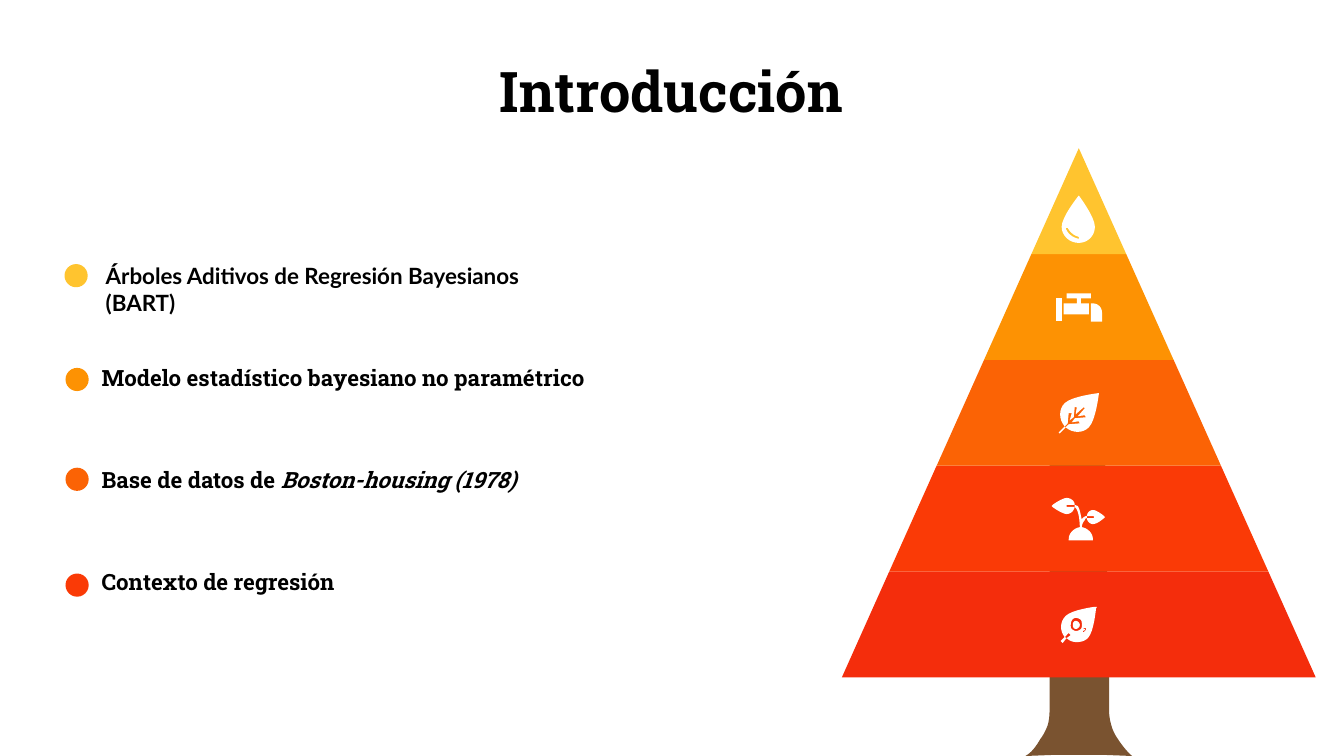
from pptx import Presentation
from pptx.dml.color import RGBColor
from pptx.enum.shapes import MSO_SHAPE
from pptx.enum.text import MSO_ANCHOR, MSO_AUTO_SIZE, PP_ALIGN
from pptx.util import Inches, Pt

BLACK = RGBColor(0x00, 0x00, 0x00)
WHITE = RGBColor(0xFF, 0xFF, 0xFF)
BROWN = RGBColor(0x7A, 0x53, 0x30)
YELLOW = RGBColor(0xFF, 0xC4, 0x2F)
AMBER = RGBColor(0xFD, 0x92, 0x03)
ORANGE = RGBColor(0xFB, 0x63, 0x05)
VERMILION = RGBColor(0xFA, 0x3A, 0x06)
RED = RGBColor(0xF4, 0x2D, 0x0C)
TIER_COLORS = [YELLOW, AMBER, ORANGE, VERMILION, RED]

SLAB = "Roboto Slab"
LATO = "Lato"
CURVE_STEPS = 8

TREE_CENTER = 10.7
TREE_TOP = 1.47
TIER_HEIGHT = 1.05
TIER_SPREAD = 0.47

ITEMS = [
    (YELLOW, 0.64, 2.62, 0.95, 2.55, 5.02, LATO, True,
     [("Árboles Aditivos de Regresión Bayesianos (BART)", False)]),
    (AMBER, 0.65, 3.65, 0.91, 3.56, 5.07, SLAB, False,
     [("Modelo estadístico bayesiano no paramétrico", False)]),
    (ORANGE, 0.65, 4.64, 0.91, 4.58, 4.54, SLAB, False,
     [("Base de datos de ", False), ("Boston-housing (1978)", True)]),
    (VERMILION, 0.65, 5.69, 0.91, 5.59, 2.58, SLAB, False,
     [("Contexto de regresión", False)]),
]

TRUNK = (
    "M 10.41,7.04 C 10.41,7.12 10.4,7.17 10.39,7.2 10.37,7.25 10.35,7.29 10.32,7.33 "
    "10.28,7.4 10.23,7.47 10.17,7.5 L 10.43,7.49 10.97,7.49 11.23,7.5 "
    "C 11.2,7.48 11.13,7.4 11.08,7.32 11.03,7.25 11,7.14 11,7.04 "
    "L 11,6.69 10.95,3.91 10.41,3.91"
)
DROP = (
    "M 10.7,1.94 C 10.7,1.94 10.53,2.15 10.53,2.25 10.53,2.34 10.61,2.41 10.7,2.41 "
    "10.79,2.41 10.86,2.34 10.86,2.25 10.86,2.15 10.7,1.94 10.7,1.94 "
    "M 10.7,2.37 C 10.6,2.35 10.57,2.27 10.57,2.26 L 10.59,2.26 "
    "C 10.59,2.26 10.62,2.33 10.7,2.35"
)
TAP = [
    "M 10.84,3.01 L 10.82,3.01 10.82,3.19 10.93,3.19 10.93,3.1 "
    "C 10.93,3.05 10.89,3.01 10.84,3.01",
    "M 10.47,2.96 L 10.53,2.96 10.53,3.19 10.47,3.19",
    "M 10.72,2.96 L 10.82,2.96 10.82,2.91 10.58,2.91 10.58,2.96 10.68,2.96 "
    "10.68,3.01 10.55,3.01 10.55,3.12 10.8,3.12 10.8,3.01 10.72,3.01",
]
LEAF = [
    "M 10.9,3.9 C 10.9,3.9 10.87,4.17 10.8,4.24 10.74,4.3 10.64,4.3 10.57,4.24 "
    "L 10.6,4.21 10.71,4.2 10.7,4.18 10.63,4.19 10.66,4.15 10.77,4.14 10.76,4.12 "
    "10.69,4.13 10.76,4.05 10.75,4.04 10.67,4.11 10.68,4.04 10.66,4.04 10.65,4.14 "
    "10.61,4.17 10.63,4.1 10.6,4.1 10.59,4.2 10.56,4.23 "
    "C 10.5,4.16 10.5,4.06 10.56,4 10.63,3.93 10.9,3.9 10.9,3.9",
    "M 10.57,4.24 L 10.51,4.3 10.5,4.29 10.56,4.23",
]
SPROUT = [
    "M 10.65,5.03 L 10.66,5.03 C 10.65,5.07 10.62,5.1 10.58,5.1 10.54,5.1 10.45,5.04 "
    "10.44,5.03 L 10.43,5.02 10.44,5.01 C 10.45,5 10.54,4.94 10.58,4.94 "
    "10.62,4.94 10.66,4.97 10.66,5.01 L 10.58,5.01 10.58,5.03",
    "M 10.96,5.13 L 10.95,5.14 C 10.94,5.15 10.88,5.2 10.84,5.2 10.81,5.2 10.78,5.17 "
    "10.78,5.14 L 10.85,5.14 10.85,5.12 10.78,5.12 C 10.78,5.09 10.81,5.06 "
    "10.84,5.06 10.88,5.06 10.95,5.12 10.95,5.12",
    "M 10.73,5.23 C 10.73,5.21 10.74,5.18 10.76,5.16 10.76,5.15 10.77,5.14 10.78,5.14 "
    "L 10.78,5.12 C 10.76,5.12 10.75,5.13 10.74,5.14 10.73,5.15 10.73,5.15 10.73,5.16 "
    "10.72,5.11 10.71,5.05 10.69,5.02 10.68,5.02 10.67,5.01 10.66,5.01 L 10.66,5.03 "
    "10.67,5.04 C 10.7,5.07 10.71,5.18 10.71,5.23 10.65,5.24 10.6,5.29 10.6,5.35 "
    "L 10.6,5.36 10.84,5.36 10.84,5.35 C 10.84,5.29 10.79,5.24 10.73,5.23",
]
OXYGEN_LEAF = [
    "M 10.58,6.33 L 10.54,6.38 10.52,6.36 10.56,6.32",
    "M 10.86,6.02 C 10.85,6.02 10.63,6.05 10.57,6.11 10.51,6.17 10.51,6.26 10.56,6.32 "
    "L 10.6,6.28 10.62,6.3 10.58,6.33 C 10.61,6.36 10.64,6.37 10.68,6.37 "
    "10.72,6.37 10.76,6.36 10.79,6.33 10.85,6.27 10.87,6.04 10.87,6.04 L 10.88,6.02 "
    "M 10.72,6.24 C 10.71,6.25 10.69,6.26 10.67,6.26 10.66,6.26 10.64,6.25 10.63,6.24 "
    "10.62,6.23 10.62,6.22 10.62,6.2 10.62,6.16 10.64,6.13 10.67,6.13 "
    "10.69,6.13 10.71,6.14 10.72,6.15 10.73,6.16 10.73,6.18 10.73,6.2 "
    "10.73,6.22 10.73,6.23 10.72,6.24 "
    "M 10.77,6.27 L 10.74,6.27 10.74,6.26 10.76,6.25 10.76,6.24 10.74,6.24 "
    "10.75,6.23 10.77,6.23 10.77,6.25 10.75,6.27",
    "M 10.67,6.16 C 10.65,6.16 10.64,6.18 10.64,6.2 10.64,6.22 10.65,6.24 10.67,6.24 "
    "10.69,6.24 10.71,6.22 10.71,6.2 10.71,6.18 10.69,6.16 10.67,6.16",
]


def bezier(start, a, b, end):
    points = []
    for step in range(1, CURVE_STEPS + 1):
        t = step / CURVE_STEPS
        u = 1 - t
        points.append(tuple(
            u ** 3 * p0 + 3 * u * u * t * p1 + 3 * u * t * t * p2 + t ** 3 * p3
            for p0, p1, p2, p3 in zip(start, a, b, end)))
    return points


def contour_points(contour):
    points, controls, curved = [], [], False
    for token in contour.split():
        if token in "CL":
            curved = token == "C"
            continue
        x, y = token.split(",")
        point = (float(x), float(y))
        if not curved:
            points.append(point)
            continue
        controls.append(point)
        if len(controls) == 3:
            points.extend(bezier(points[-1], *controls))
            controls = []
    return points


def paint(sp, color):
    sp.fill.solid()
    sp.fill.fore_color.rgb = color
    sp.line.fill.background()
    sp.shadow.inherit = False


def add_polygon(shapes, contours, color):
    builder = None
    for contour in contours:
        points = [(Inches(x), Inches(y)) for x, y in contour]
        if builder is None:
            builder = shapes.build_freeform(*points[0])
        else:
            builder.move_to(*points[0])
        builder.add_line_segments(points[1:], close=True)
    paint(builder.convert_to_shape(), color)


def add_outline(shapes, outline, color):
    add_polygon(shapes, [contour_points(c) for c in outline.split("M")[1:]], color)


def add_tier(s, index, color):
    top = TREE_TOP + index * TIER_HEIGHT
    upper = index * TIER_SPREAD
    lower = upper + TIER_SPREAD
    corners = [(TREE_CENTER + lower, top + TIER_HEIGHT),
               (TREE_CENTER - lower, top + TIER_HEIGHT),
               (TREE_CENTER - upper, top),
               (TREE_CENTER + upper, top)]
    add_polygon(s.shapes, [corners], color)


def add_icon(s, outlines):
    group = s.shapes.add_group_shape()
    for outline in outlines:
        add_outline(group.shapes, outline, WHITE)


def format_paragraph(p, font, size):
    p.font.name = font
    p.font.size = Pt(size)
    p.font.bold = True
    p.font.color.rgb = BLACK


def add_title(s, text):
    title = s.shapes.title
    title.left, title.top = Inches(2.23), Inches(0.33)
    title.width, title.height = Inches(8.86), Inches(1.21)
    tf = title.text_frame
    tf.text = text
    tf.vertical_anchor = MSO_ANCHOR.MIDDLE
    p = tf.paragraphs[0]
    p.alignment = PP_ALIGN.CENTER
    p.line_spacing = 0.9
    format_paragraph(p, SLAB, 40)


def add_item(s, color, dot_left, dot_top, left, top, width, font, wrap, runs):
    dot = s.shapes.add_shape(MSO_SHAPE.OVAL, Inches(dot_left), Inches(dot_top),
                             Inches(0.23), Inches(0.23))
    paint(dot, color)
    box = s.shapes.add_textbox(Inches(left), Inches(top), Inches(width), Inches(0.37))
    tf = box.text_frame
    tf.word_wrap = wrap
    tf.auto_size = MSO_AUTO_SIZE.SHAPE_TO_FIT_TEXT
    p = tf.paragraphs[0]
    format_paragraph(p, font, 16)
    for text, italic in runs:
        r = p.add_run()
        r.text = text
        if italic:
            r.font.italic = True


def main():
    prs = Presentation()
    prs.slide_width, prs.slide_height = Inches(13.33), Inches(7.5)
    s = prs.slides.add_slide(prs.slide_layouts[5])
    add_title(s, "Introducción")
    for item in ITEMS:
        add_item(s, *item)
    add_outline(s.shapes, TRUNK, BROWN)
    for index, color in reversed(list(enumerate(TIER_COLORS))):
        add_tier(s, index, color)
    add_outline(s.shapes, DROP, WHITE)
    for outlines in (TAP, LEAF, SPROUT, OXYGEN_LEAF):
        add_icon(s, outlines)
    prs.save("out.pptx")


if __name__ == "__main__":
    main()
